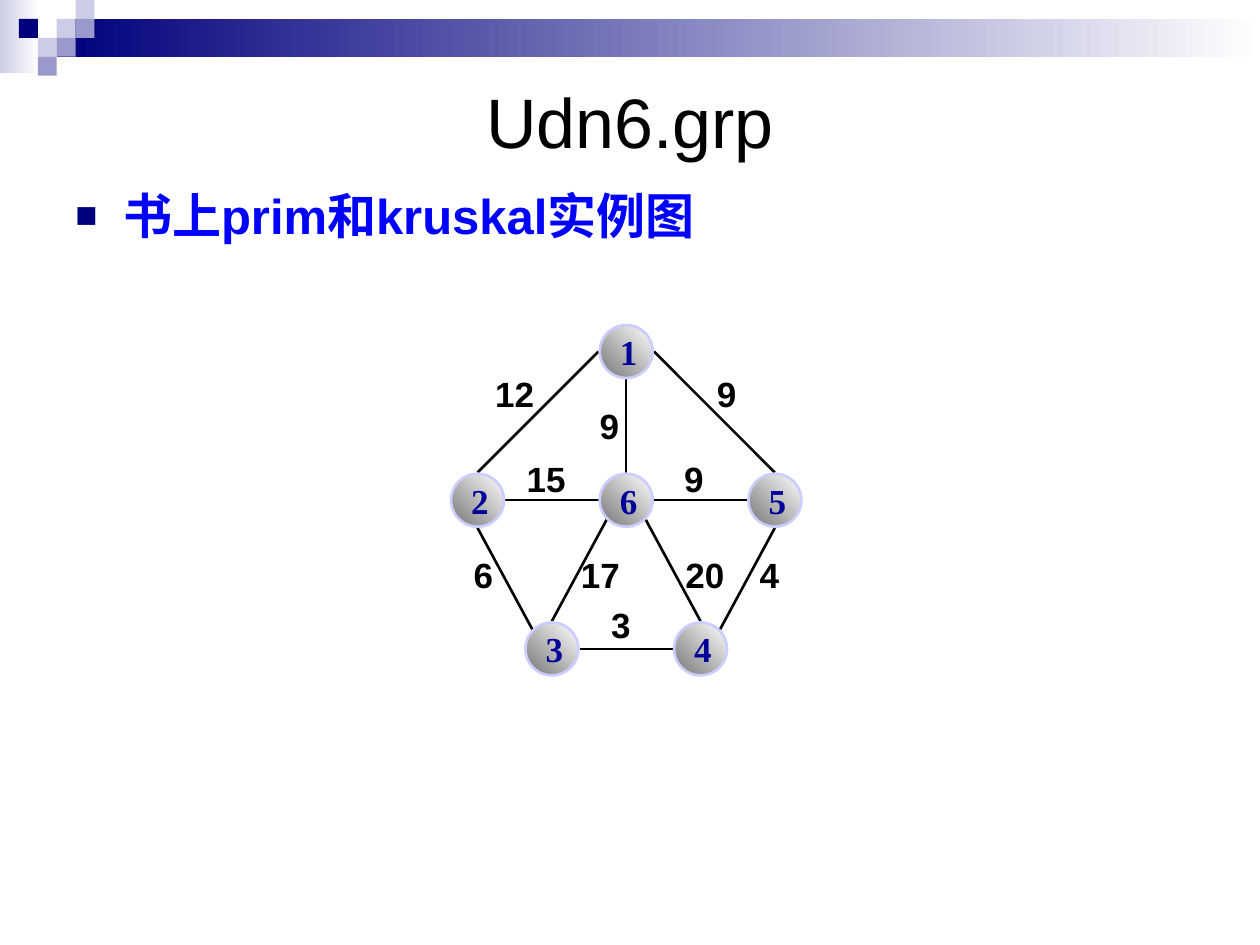
"""Build a slide showing a weighted undirected graph for prim and kruskal."""
import math
from dataclasses import dataclass

import lxml.etree
import pptx
import pptx.dml.color
import pptx.enum.shapes
import pptx.enum.text
import pptx.oxml.ns
import pptx.util

Inches = pptx.util.Inches
Pt = pptx.util.Pt
ALIGN = pptx.enum.text.PP_ALIGN
ANCHOR = pptx.enum.text.MSO_ANCHOR
AUTO_SIZE = pptx.enum.text.MSO_AUTO_SIZE
SHAPE = pptx.enum.shapes.MSO_SHAPE
qn = pptx.oxml.ns.qn

COLORS = {
    "navy": "00007D", "lilac": "9999CC", "pale": "CCCCE6", "white": "FFFFFF",
    "black": "000000", "blue": "0000FF", "digit": "000099", "rim": "CCCCFF",
    "grey": "767676",
}
TILE = 0.15
DIAMETER = 0.42
REACH = 0.22
STEP = 0.59
HUB_X, HUB_Y = 4.97, 3.97
COMPASS = ("E", "SE", "S", "SW", "W", "NW", "N", "NE")
NO_MARGIN = {f"margin_{side}": 0 for side in ("left", "top", "right", "bottom")}
TITLE_FONT = {"name": "Arial", "size": Pt(40), "bold": False}
BODY_FONT = {"name": "Arial", "size": Pt(28), "bold": True}
WEIGHT_FONT = {"name": "Arial", "size": Pt(20), "bold": True}
NODE_FONT = {"name": "Times New Roman", "size": Pt(20), "bold": True}


@dataclass(frozen=True)
class Tile:
    column: int
    row: int
    color: str


@dataclass(frozen=True)
class Node:
    name: str
    column: int
    row: int

    @property
    def center(self) -> tuple[float, float]:
        return HUB_X + self.column * STEP, HUB_Y + self.row * STEP

    def site(self, direction: str) -> tuple[float, float]:
        angle = COMPASS.index(direction) * math.pi / 4
        x, y = self.center
        return x + REACH * math.cos(angle), y + REACH * math.sin(angle)


@dataclass(frozen=True)
class Edge:
    start: str
    leaves: str
    end: str
    enters: str
    weight: str
    left: float
    top: float


TILES = (
    Tile(3, 1, "pale"), Tile(4, 0, "pale"), Tile(4, 1, "lilac"), Tile(2, 2, "pale"),
    Tile(1, 1, "navy"), Tile(3, 2, "lilac"), Tile(2, 3, "lilac"),
)
NODES = {
    node.name: node
    for node in (
        Node("1", 0, -2), Node("2", -2, 0), Node("3", -1, 2),
        Node("4", 1, 2), Node("5", 2, 0), Node("6", 0, 0),
    )
}
EDGES = (
    Edge("1", "W", "2", "N", "12", 3.93, 2.96),
    Edge("1", "E", "5", "N", "9", 5.69, 2.96),
    Edge("1", "S", "6", "N", "9", 4.76, 3.21),
    Edge("2", "E", "6", "W", "15", 4.18, 3.63),
    Edge("6", "E", "5", "W", "9", 5.43, 3.63),
    Edge("2", "S", "3", "NW", "6", 3.76, 4.39),
    Edge("6", "SW", "3", "N", "17", 4.61, 4.39),
    Edge("6", "SE", "4", "N", "20", 5.44, 4.39),
    Edge("5", "S", "4", "NE", "4", 6.03, 4.39),
    Edge("3", "E", "4", "W", "3", 4.85, 4.79),
)


def rgb(name: str) -> pptx.dml.color.RGBColor:
    return pptx.dml.color.RGBColor.from_string(COLORS[name])


def apply(target, values: dict) -> None:
    for name, value in values.items():
        setattr(target, name, value)


def write(box, text: str, font: dict, color: str, frame: dict, align=ALIGN.LEFT):
    apply(box.text_frame, frame)
    para = box.text_frame.paragraphs[0]
    para.alignment = align
    span = para.add_run()
    span.text = text
    apply(span.font, font)
    span.font.color.rgb = rgb(color)
    return para


def add_box(page, left: float, top: float, width: float, height: float):
    return page.shapes.add_textbox(
        Inches(left), Inches(top), Inches(width), Inches(height))


def add_shape(page, kind, left: float, top: float, width: float, height: float,
              colors: tuple[str, ...], angle: float = 0):
    shape = page.shapes.add_shape(
        kind, Inches(left), Inches(top), Inches(width), Inches(height))
    shape.shadow.inherit = False
    shape.line.fill.background()
    if len(colors) == 1:
        shape.fill.solid()
        shape.fill.fore_color.rgb = rgb(colors[0])
    else:
        shape.fill.gradient()
        shape.fill.gradient_angle = angle
        for stop, color in zip(shape.fill.gradient_stops, colors):
            stop.color.rgb = rgb(color)
    return shape


def add_bullet(para) -> None:
    properties = para._p.get_or_add_pPr()
    apply(para, {"space_before": Pt(7)})
    properties.set("marL", str(Inches(0.38)))
    properties.set("indent", str(Inches(-0.38)))
    bullet_color = lxml.etree.SubElement(properties, qn("a:buClr"))
    lxml.etree.SubElement(bullet_color, qn("a:srgbClr"), val=COLORS["navy"])
    lxml.etree.SubElement(properties, qn("a:buSzPct"), val="75000")
    lxml.etree.SubElement(properties, qn("a:buFont"), typeface="Arial")
    lxml.etree.SubElement(properties, qn("a:buChar"), char="■")


def draw_banner(page) -> None:
    add_shape(page, SHAPE.RECTANGLE, 0, 0, 0.31, 0.58, ("pale", "white"))
    add_shape(page, SHAPE.RECTANGLE, 0.45, TILE, 9.55, 0.3, ("navy", "white"))
    for tile in TILES:
        add_shape(page, SHAPE.RECTANGLE, tile.column * TILE, tile.row * TILE,
                  TILE, TILE, (tile.color,))


def draw_edge(page, edge: Edge) -> None:
    points = (*NODES[edge.start].site(edge.leaves), *NODES[edge.end].site(edge.enters))
    line = page.shapes.add_connector(
        pptx.enum.shapes.MSO_CONNECTOR.STRAIGHT, *(Inches(value) for value in points))
    apply(line.line, {"width": Pt(1.5)})
    line.line.color.rgb = rgb("black")
    lxml.etree.SubElement(line._element.spPr, qn("a:effectLst"))


def draw_weight(page, edge: Edge) -> None:
    box = add_box(page, edge.left, edge.top, 0.155 * len(edge.weight), 0.33)
    write(box, edge.weight, WEIGHT_FONT, "black",
          {**NO_MARGIN, "word_wrap": False, "auto_size": AUTO_SIZE.SHAPE_TO_FIT_TEXT})


def draw_node(page, node: Node) -> None:
    x, y = node.center
    circle = add_shape(page, SHAPE.OVAL, x - DIAMETER / 2, y - DIAMETER / 2,
                       DIAMETER, DIAMETER, ("grey", "white"), 45)
    circle.line.color.rgb = rgb("rim")
    circle.line.width = Pt(1.5)
    write(circle, node.name, NODE_FONT, "digit",
          {"word_wrap": False, "vertical_anchor": ANCHOR.MIDDLE})


def main() -> None:
    deck = pptx.Presentation()
    apply(deck, {"slide_width": Inches(10), "slide_height": Inches(7.5)})
    page = deck.slides.add_slide(deck.slide_layouts[6])
    draw_banner(page)
    write(add_box(page, 0.5, 0.5, 9, 0.92), "Udn6.grp", TITLE_FONT, "black",
          {"word_wrap": True, "vertical_anchor": ANCHOR.MIDDLE}, ALIGN.CENTER)
    add_bullet(write(add_box(page, 0.5, 1.42, 9, 5.33), "书上prim和kruskal实例图",
                     BODY_FONT, "blue", {"word_wrap": True}))
    for edge in EDGES:
        draw_edge(page, edge)
    for node in NODES.values():
        draw_node(page, node)
    for edge in EDGES:
        draw_weight(page, edge)
    deck.save("out.pptx")


if __name__ == "__main__":
    main()
